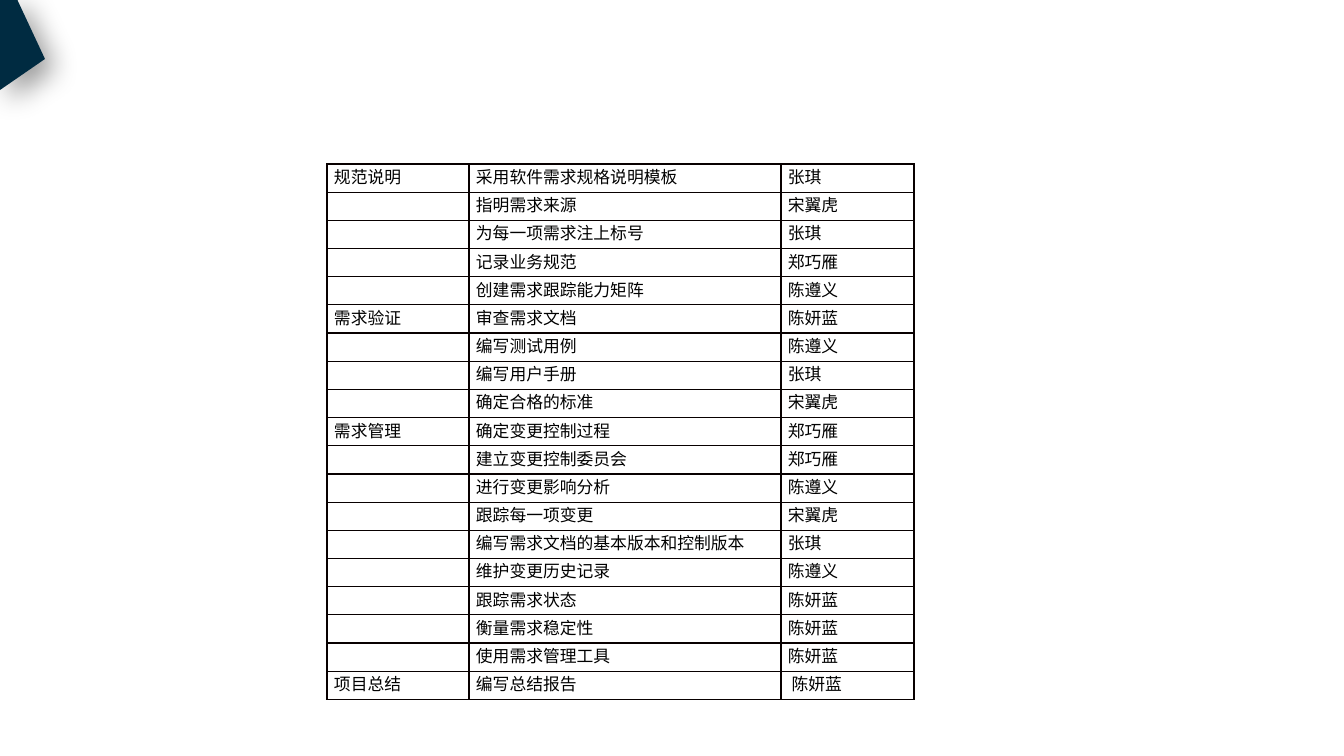
from lxml.etree import SubElement
from pptx import Presentation
from pptx.dml.color import RGBColor
from pptx.oxml import parse_xml
from pptx.oxml.ns import nsdecls, qn
from pptx.util import Pt

PX = 914400 / 100.8
FONT = "Noto Sans CJK SC"
TASKS = [
    ("规范说明", [
        ("采用软件需求规格说明模板", "张琪"),
        ("指明需求来源", "宋翼虎"),
        ("为每一项需求注上标号", "张琪"),
        ("记录业务规范", "郑巧雁"),
        ("创建需求跟踪能力矩阵", "陈遵义"),
    ]),
    ("需求验证", [
        ("审查需求文档", "陈妍蓝"),
        ("编写测试用例", "陈遵义"),
        ("编写用户手册", "张琪"),
        ("确定合格的标准", "宋翼虎"),
    ]),
    ("需求管理", [
        ("确定变更控制过程", "郑巧雁"),
        ("建立变更控制委员会", "郑巧雁"),
        ("进行变更影响分析", "陈遵义"),
        ("跟踪每一项变更", "宋翼虎"),
        ("编写需求文档的基本版本和控制版本", "张琪"),
        ("维护变更历史记录", "陈遵义"),
        ("跟踪需求状态", "陈妍蓝"),
        ("衡量需求稳定性", "陈妍蓝"),
        ("使用需求管理工具", "陈妍蓝"),
    ]),
    ("项目总结", [("编写总结报告", " 陈妍蓝")]),
]


def px(count):
    return round(count * PX)


def color(code):
    return RGBColor.from_string(code)


deck = Presentation()
deck.slide_width, deck.slide_height = px(1344), px(756)
slide = deck.slides.add_slide(deck.slide_layouts[6])

# Corner shape
pen = slide.shapes.build_freeform(17, -1, scale=PX)
pen.add_line_segments([(0, -1), (0, 90), (45, 59)], close=True)
corner = pen.convert_to_shape()
corner.fill.solid()
corner.fill.fore_color.rgb = color("002B41")
corner.line.fill.background()
corner._element.spPr.append(parse_xml(
    f'<a:effectLst {nsdecls("a")}><a:outerShdw blurRad="{Pt(20)}" '
    f'dist="{Pt(10)}" dir="2700000" algn="tl" rotWithShape="0">'
    '<a:srgbClr val="000000"><a:alpha val="40000"/></a:srgbClr>'
    '</a:outerShdw></a:effectLst>'))

# Task table
rows = []
for stage, jobs in TASKS:
    for place, (job, owner) in enumerate(jobs):
        rows.append(("" if place else stage, job, owner))

widths = [142, 312, 133]
table = slide.shapes.add_table(len(rows), len(widths), px(327), px(164),
                               px(sum(widths)), px(536)).table
table.first_row = table.horz_banding = False
for column, width in zip(table.columns, widths):
    column.width = px(width)

for line, texts in zip(table.rows, rows):
    line.height = px(536 / len(rows))
    for cell, text in zip(line.cells, texts):
        cell.margin_left = cell.margin_right = px(7)
        cell.margin_top = cell.margin_bottom = 0
        para = cell.text_frame.paragraphs[0]
        para.font.name = FONT
        para.font.size = Pt(12)
        para.font.color.rgb = color("000000")
        SubElement(para._p.pPr.find(qn("a:defRPr")), qn("a:ea"), typeface=FONT)
        if text:
            para.add_run().text = text
        else:
            SubElement(para._p, qn("a:endParaRPr"), sz="1200")
        props = cell._tc.get_or_add_tcPr()
        for side in ("lnL", "lnR", "lnT", "lnB"):
            props.append(parse_xml(
                f'<a:{side} {nsdecls("a")} w="{Pt(1)}"><a:solidFill>'
                f'<a:srgbClr val="080000"/></a:solidFill></a:{side}>'))
        cell.fill.background()

deck.save("out.pptx")
